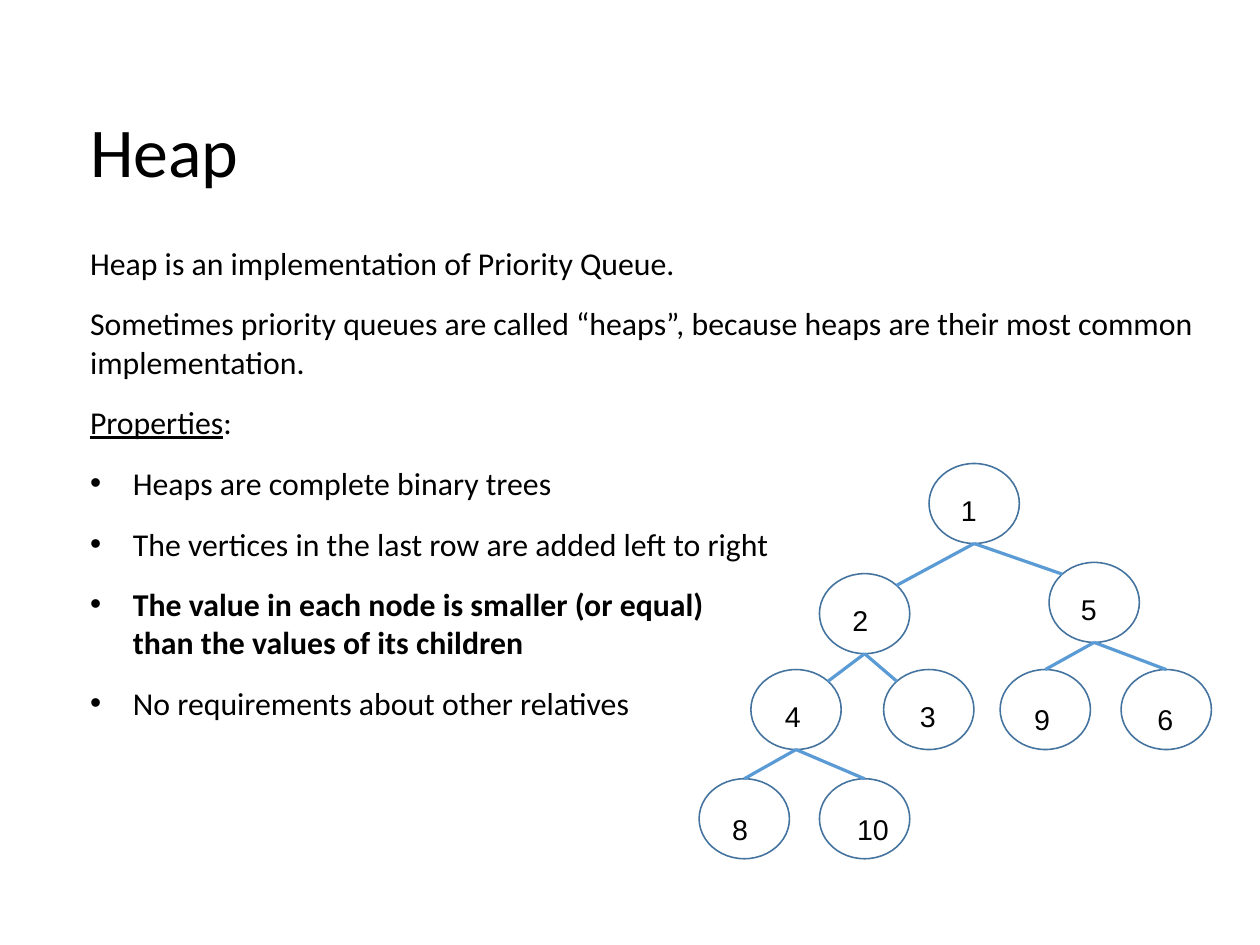
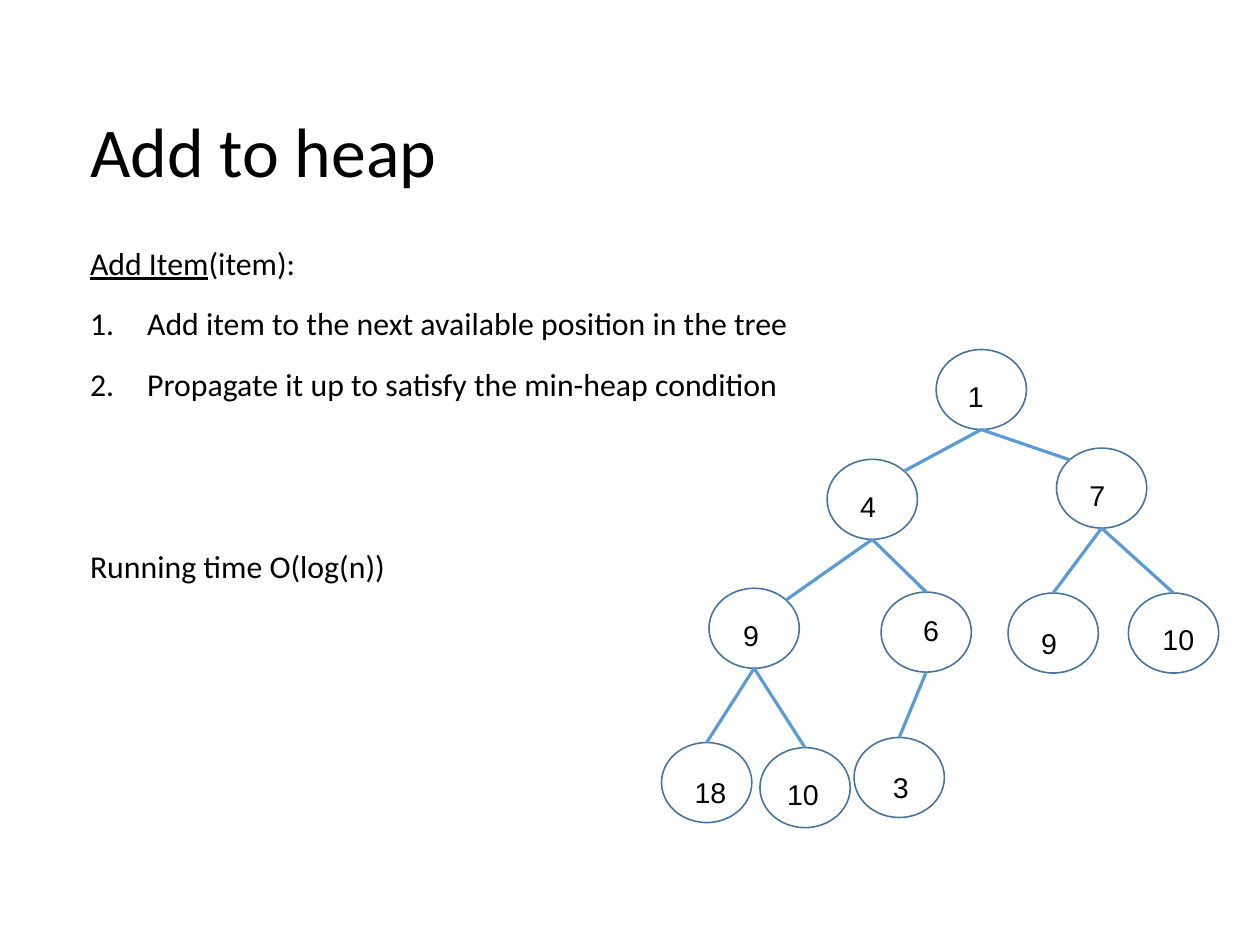
from dataclasses import dataclass
from math import sqrt

from lxml import etree
from pptx import Presentation
from pptx.dml.color import RGBColor
from pptx.enum import shapes, text
from pptx.oxml import ns
from pptx.util import Pt


# Theme: colours, fonts and type sizes
@dataclass(frozen=True)
class Theme:
    ink: RGBColor = RGBColor(0, 0, 0)
    rim: RGBColor = RGBColor(0x43, 0x73, 0x9E)
    edge: RGBColor = RGBColor(0x5B, 0x9B, 0xD5)
    sans: str = "Calibri"
    mark: str = "Arial"
    title: float = 44
    body: float = 20
    label: float = 18
    gap: float = 14.2


@dataclass(frozen=True)
class Para:
    words: str
    lead: str = ""        # underlined opening words
    bullet: str = ""      # tag of the bullet element
    indent: float = 0
    bold: bool = False
    before: float = 0


@dataclass(frozen=True)
class Node:
    label: str
    x: float
    y: float
    dx: float             # label offset inside the node
    dy: float
    root: int = -1        # index of the parent node
    side: int = 0         # edge meets node at: -1 upper left, 0 top, 1 upper right
    wide: float = 28.8


@dataclass(frozen=True)
class Page:
    title: str
    paras: list[Para]
    nodes: list[Node]


THEME = Theme()
WIDE, HIGH = 56.88, 50.4  # node size
DOT, NUM = "buChar", "buAutoNum"
BULLETS = {DOT: {"char": "•"}, NUM: {"type": "arabicPeriod"}}


# Text
def add_box(slide, x: float, y: float, w: float, h: float, inset: bool = False):
    frame = slide.shapes.add_textbox(Pt(x), Pt(y), Pt(w), Pt(h)).text_frame
    frame.word_wrap = True
    if not inset:
        frame.margin_left = frame.margin_right = 0
        frame.margin_top = frame.margin_bottom = 0
    return frame


def set_font(para, name: str, size: float, bold: bool = False) -> None:
    font = para.font
    font.name, font.size, font.bold = name, Pt(size), bold
    font.color.rgb = THEME.ink


def add_title(slide, words: str) -> None:
    frame = add_box(slide, 56.7, 54, 666, 80.64)
    frame.vertical_anchor = text.MSO_ANCHOR.MIDDLE
    para = frame.paragraphs[0]
    para.text = words
    set_font(para, THEME.sans, THEME.title)


def add_bullet(para, tag: str, indent: float) -> None:
    props = para._p.get_or_add_pPr()
    props.set("marL", str(Pt(indent)))
    props.set("indent", str(-Pt(indent)))
    face = THEME.mark if tag == DOT else THEME.sans
    etree.SubElement(props, ns.qn("a:buFont"), typeface=face)
    etree.SubElement(props, ns.qn(f"a:{tag}"), BULLETS[tag])


def add_body(slide, paras: list[Para]) -> None:
    frame = add_box(slide, 56.7, 153.4, 697, 375)
    for i, item in enumerate(paras):
        para = frame.add_paragraph() if i else frame.paragraphs[0]
        if item.bullet:
            add_bullet(para, item.bullet, item.indent)
        para.space_before, para.space_after = Pt(item.before), Pt(THEME.gap)
        set_font(para, THEME.sans, THEME.body, item.bold)
        if item.lead:
            run = para.add_run()
            run.text = item.lead
            run.font.underline = True
        for j, line in enumerate(item.words.split("\n")):
            if j:
                para.add_line_break()
            para.add_run().text = line


# Tree
def add_node(slide, node: Node) -> None:
    oval = slide.shapes.add_shape(shapes.MSO_SHAPE.OVAL, Pt(node.x), Pt(node.y),
                                  Pt(WIDE), Pt(HIGH))
    oval.shadow.inherit = False
    oval.fill.background()
    oval.line.color.rgb, oval.line.width = THEME.rim, Pt(1)


def add_edge(slide, top: Node, low: Node) -> None:
    # Side points sit on the oval's diagonals
    x = low.x + WIDE / 2 * (1 + low.side / sqrt(2))
    y = low.y + (HIGH / 2 * (1 - 1 / sqrt(2)) if low.side else 0)
    line = slide.shapes.add_connector(
        shapes.MSO_CONNECTOR.STRAIGHT, Pt(top.x + WIDE / 2), Pt(top.y + HIGH),
        Pt(x), Pt(y))
    line.line.color.rgb, line.line.width = THEME.edge, Pt(2)
    etree.SubElement(line._element.spPr, ns.qn("a:effectLst"))


def add_label(slide, node: Node) -> None:
    frame = add_box(slide, node.x + node.dx, node.y + node.dy, node.wide, 28.8, True)
    para = frame.paragraphs[0]
    para.text = node.label
    set_font(para, THEME.mark, THEME.label)


def add_tree(slide, nodes: list[Node]) -> None:
    for node in nodes:
        add_node(slide, node)
    for node in nodes:
        if node.root >= 0:
            add_edge(slide, nodes[node.root], node)
    for node in nodes:
        add_label(slide, node)


# Content
PAGES = [
    Page("Heap", [
        Para("Heap is an implementation of Priority Queue."),
        Para("Sometimes priority queues are called “heaps”, because heaps are "
             "their most common implementation."),
        Para(":", lead="Properties"),
        Para("Heaps are complete binary trees", bullet=DOT, indent=27),
        Para("The vertices in the last row are added left to right",
             bullet=DOT, indent=27),
        Para("The value in each node is smaller (or equal)\n"
             "than the values of its children", bullet=DOT, indent=27, bold=True),
        Para("No requirements about other relatives", bullet=DOT, indent=27),
    ], [
        Node("1", 585.2, 292, 13, 15),
        Node("2", 516.2, 361.4, 13.7, 15, 0, 1),
        Node("5", 660.8, 354.3, 13, 15, 0, -1),
        Node("4", 473, 421.8, 14.4, 15, 1, 1),
        Node("3", 556.6, 421.8, 15.8, 15, 1, -1),
        Node("9", 630, 421.8, 14.4, 16.6, 2),
        Node("6", 706.2, 421.8, 15.8, 16.6, 2),
        Node("8", 440.4, 490.6, 13.7, 17.3, 3),
        Node("10", 516.2, 490.6, 16.6, 17.3, 3, wide=41),
    ]),
    Page("Add to heap", [
        Para("(item):", lead="Add Item"),
        Para("Add item to the next available position in the tree",
             bullet=NUM, indent=36),
        Para("Propagate it up to satisfy the min-heap condition",
             bullet=NUM, indent=36),
        Para("Running time O(log(n))", before=76.5),
    ], [
        Node("1", 589.7, 220.2, 13, 15),
        Node("4", 521, 289.4, 13.7, 15, 0, 1),
        Node("7", 665.5, 282.3, 13.7, 15, 0, -1),
        Node("9", 446.6, 370.6, 14.4, 15, 1, 1),
        Node("6", 555, 373, 19.4, 9.4, 1),
        Node("9", 635, 373.6, 13.7, 17.3, 2),
        Node("10", 710.8, 373.6, 14.4, 14.4, 2, wide=45),
        Node("18", 416.7, 467.8, 13.7, 16.6, 3, wide=41.8),
        Node("10", 478.7, 471, 10, 15, 3, wide=41),
        Node("3", 538, 464.6, 17.3, 16.6, 4),
    ]),
]


def main() -> None:
    deck = Presentation()
    deck.slide_width, deck.slide_height = Pt(793.7), Pt(595.3)
    for page in PAGES:
        slide = deck.slides.add_slide(deck.slide_layouts[6])
        add_title(slide, page.title)
        add_body(slide, page.paras)
        add_tree(slide, page.nodes)
    deck.save("out.pptx")


main()
